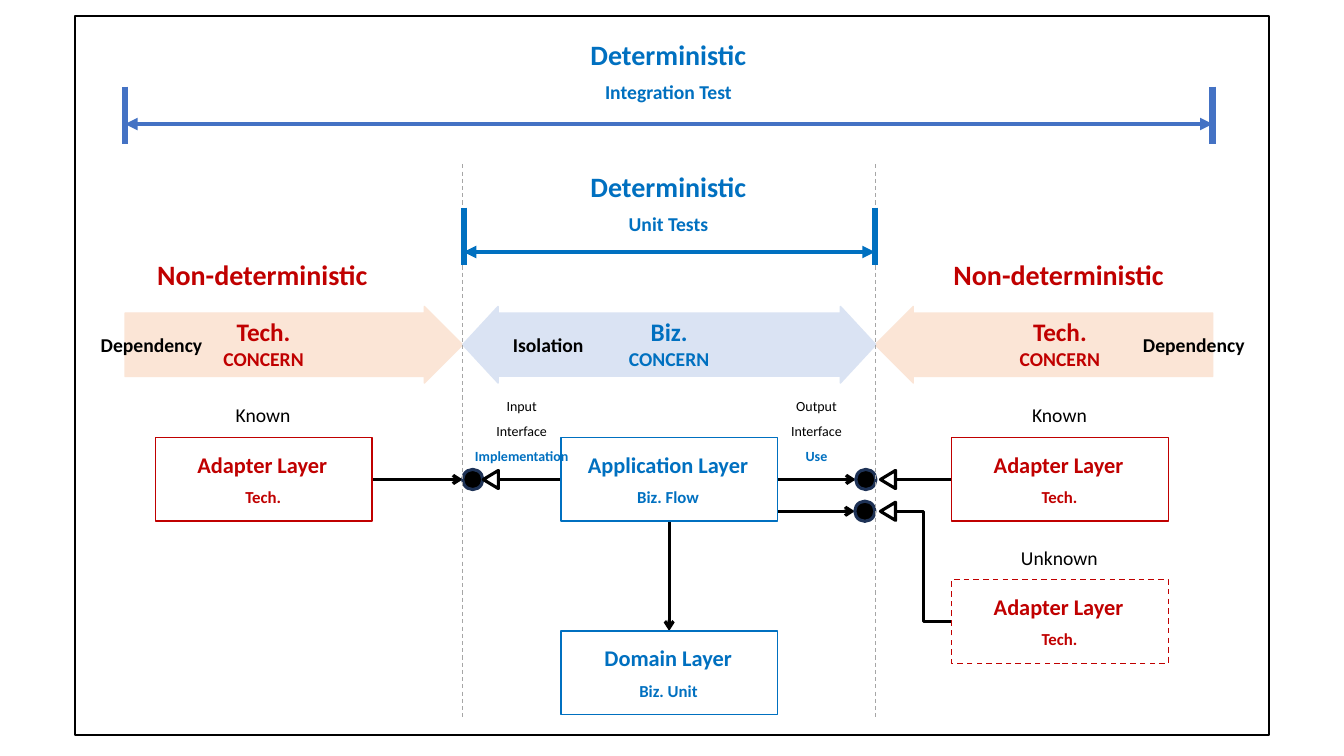
from lxml import etree
from pptx import Presentation, util as u
from pptx.dml import color
from pptx.enum import dml, shapes, text
from pptx.oxml import ns

THEME = {
    "font": "Calibri",
    "biz": "0070C0", "tech": "C00000", "ink": "000000", "paper": "FFFFFF",
    "tech_band": "FBE5D6", "biz_band": "DAE3F3", "guide": "A6A6A6",
    "integration": "4472C4", "port_edge": "1E3256",
    "headline": 20, "concern": 18, "layer": 16, "label": 14, "detail": 12, "port": 10,
}
LEFT, MIDDLE, RIGHT = 188.3, 478, 757.1
INPUT_EDGE, OUTPUT_EDGE = 330.5, 625.7
OUTER_LEFT, OUTER_RIGHT = 89.3, 866.2
BOX_WIDTH, BOX_HEIGHT = 154.8, 59.8
LAYER_TOP, DOMAIN_TOP, UNKNOWN_TOP = 312.5, 450.7, 414
FLOW_Y, SECOND_FLOW_Y = 342.5, 365.2
PORT_SIZE = 14.4
TIP_WIDTH, TIP_HEIGHT = 13, 10.8

BANDS = [
    ("RIGHT_ARROW", 625, OUTER_RIGHT, "tech_band", (0.827, 0.5), 180),
    ("RIGHT_ARROW", OUTER_LEFT, INPUT_EDGE, "tech_band", (0.827, 0.5), 0),
    ("LEFT_RIGHT_ARROW", INPUT_EDGE, OUTPUT_EDGE, "biz_band", (0.824, 0.463), 0),
]
LAYERS = [
    (LEFT, LAYER_TOP, "tech", None, ("Adapter Layer", 108.7), ("Tech.", 40.3)),
    (MIDDLE, LAYER_TOP, "biz", None, ("Application Layer", 130.3), ("Biz. Flow", 59.8)),
    (RIGHT, LAYER_TOP, "tech", None, ("Adapter Layer", 108.7), ("Tech.", 40.3)),
    (MIDDLE, DOMAIN_TOP, "biz", None, ("Domain Layer", 106.6), ("Biz. Unit", 56.9)),
    (RIGHT, UNKNOWN_TOP, "tech", "DASH", ("Adapter Layer", 108.7), ("Tech.", 40.3)),
]
PORTS = [(337.7, FLOW_Y), (618.5, FLOW_Y), (617.8, SECOND_FLOW_Y)]
TIPS = [(350.6, FLOW_Y), (634.3, FLOW_Y), (634.3, SECOND_FLOW_Y)]
LINKS = [
    ("STRAIGHT", 265.7, FLOW_Y, INPUT_EDGE, FLOW_Y, "arrow"),
    ("STRAIGHT", 555.5, FLOW_Y, 611.3, FLOW_Y, "arrow"),
    ("STRAIGHT", 555.5, SECOND_FLOW_Y, 610.6, SECOND_FLOW_Y, "arrow"),
    ("STRAIGHT", MIDDLE, 372.3, MIDDLE, DOMAIN_TOP, "arrow"),
    ("STRAIGHT", 400.6, FLOW_Y, 356.4, FLOW_Y, None),
    ("STRAIGHT", 679.7, FLOW_Y, 639.4, FLOW_Y, None),
    ("ELBOW", 639.4, SECOND_FLOW_Y, 679.7, 444.2, None),
]
SPANS = [
    (331.2, 625, 148.3, 180, "biz"),
    (OUTER_LEFT, OUTER_RIGHT, 61.9, 88.6, "integration"),
]
LABELS = [
    (MIDDLE, 23, 126.7, "Deterministic", "headline", "biz", True),
    (MIDDLE, 53.3, 105.8, "Integration Test", "label", "biz", True),
    (MIDDLE, 117.4, 126.7, "Deterministic", "headline", "biz", True),
    (MIDDLE, 147.6, 72, "Unit Tests", "label", "biz", True),
    (LEFT, 180.7, 166.3, "Non-deterministic", "headline", "tech", True),
    (RIGHT, 180.7, 166.3, "Non-deterministic", "headline", "tech", True),
    (LEFT, 284.4, 54, "Known", "label", "ink", False),
    (RIGHT, 284.4, 54, "Known", "label", "ink", False),
    (RIGHT, 386.6, 69.8, "Unknown", "label", "ink", False),
    (108.7, 234, 87.8, "Dependency", "label", "ink", True),
    (853.2, 234, 87.8, "Dependency", "label", "ink", True),
    (392, 234, 65.5, "Isolation", "label", "ink", True),
]
CONCERNS = [(MIDDLE, "Biz.", "biz"), (LEFT, "Tech.", "tech"), (RIGHT, "Tech.", "tech")]
INTERFACES = [
    (372.6, 82.8, "Input", "Implementation"),
    (583.2, 51.8, "Output", "Use"),
]

presentation = Presentation()
presentation.slide_width, presentation.slide_height = u.Pt(960), u.Pt(540)
slide = presentation.slides.add_slide(presentation.slide_layouts[6])


def rgb(name):
    return color.RGBColor.from_string(THEME[name])


def set_line(line, name, width, dash=None):
    line.color.rgb = rgb(name)
    line.width = u.Pt(width)
    if dash:
        line.dash_style = getattr(dml.MSO_LINE, dash)


def add_figure(kind, left, top, width, height, fill, edge, weight, dash=None):
    shape = slide.shapes.add_shape(
        getattr(shapes.MSO_SHAPE, kind), u.Pt(left), u.Pt(top), u.Pt(width), u.Pt(height))
    shape.shadow.inherit = False
    if fill:
        shape.fill.solid()
        shape.fill.fore_color.rgb = rgb(fill)
    else:
        shape.fill.background()
    set_line(shape.line, edge, weight, dash)
    return shape


def add_link(kind, x1, y1, x2, y2, name, width, head=None, tail=None, dash=None):
    connector = slide.shapes.add_connector(
        getattr(shapes.MSO_CONNECTOR, kind), u.Pt(x1), u.Pt(y1), u.Pt(x2), u.Pt(y2))
    set_line(connector.line, name, width, dash)
    properties = connector._element.spPr
    for tag, end in (("a:headEnd", head), ("a:tailEnd", tail)):
        if end:
            etree.SubElement(properties.find(ns.qn("a:ln")), ns.qn(tag), type=end)
    etree.SubElement(properties, ns.qn("a:effectLst"))


def add_label(centre, top, width, lines, align="LEFT", spacing=None):
    height = 7.2 + sum(THEME[size] * 1.22 * (spacing or 1) for _, size, _, _ in lines)
    box = slide.shapes.add_textbox(
        u.Pt(centre - width / 2), u.Pt(top), u.Pt(width), u.Pt(height))
    frame = box.text_frame
    frame.text = "\n".join(line[0] for line in lines)
    frame.word_wrap = False
    frame.auto_size = text.MSO_AUTO_SIZE.SHAPE_TO_FIT_TEXT
    for paragraph, (_, size, tint, bold) in zip(frame.paragraphs, lines):
        paragraph.alignment = getattr(text.PP_ALIGN, align)
        if spacing:
            paragraph.line_spacing = spacing
        font = paragraph.runs[0].font
        font.name, font.size, font.bold = THEME["font"], u.Pt(THEME[size]), bold
        font.color.rgb = rgb(tint)


add_figure("RECTANGLE", 53.3, 11.5, 853.2, 513.4, None, "ink", 1.5)
for kind, start, end, fill, adjustments, rotation in BANDS:
    band = add_figure(kind, start, 218.9, end - start, 54.7, fill, fill, 1)
    band.rotation = rotation
    for index, value in enumerate(adjustments):
        band.adjustments[index] = value

for kind, x1, y1, x2, y2, tail in LINKS:
    add_link(kind, x1, y1, x2, y2, "ink", 2.25, tail=tail)
for x, y in PORTS:
    add_figure("OVAL", x - PORT_SIZE / 2, y - PORT_SIZE / 2, PORT_SIZE, PORT_SIZE,
               "ink", "port_edge", 2.25)
for x, y in TIPS:
    tip = add_figure("ISOSCELES_TRIANGLE", x - TIP_WIDTH / 2, y - TIP_HEIGHT / 2,
                     TIP_WIDTH, TIP_HEIGHT, "paper", "ink", 2.25)
    tip.rotation = 270
for x in (INPUT_EDGE, OUTPUT_EDGE):
    add_link("STRAIGHT", x, 117.4, x, 513.4, "guide", 0.75, dash="DASH")

for centre, top, tint, dash, (name, name_width), (detail, detail_width) in LAYERS:
    add_figure("RECTANGLE", centre - BOX_WIDTH / 2, top, BOX_WIDTH, BOX_HEIGHT,
               None, tint, 1, dash)
    add_label(centre, top + 6.2, name_width, [(name, "layer", tint, True)])
    add_label(centre, top + 31.7, detail_width, [(detail, "detail", tint, True)])

for start, end, top, y, tint in SPANS:
    for x in (start, end):
        add_link("STRAIGHT", x, top, x, top + 41.1, tint, 4.5)
    add_link("STRAIGHT", start, y, end, y, tint, 3, "triangle", "triangle")

for centre, top, width, caption, size, tint, bold in LABELS:
    add_label(centre, top, width, [(caption, size, tint, bold)])
for centre, name, tint in CONCERNS:
    add_label(centre, 222.5, 72.7,
              [(name, "concern", tint, True), ("CONCERN", "label", tint, True)], "CENTER")
for centre, width, direction, role in INTERFACES:
    add_label(centre, 274.3, width,
              [(direction, "port", "ink", False), ("Interface", "port", "ink", False),
               (role, "port", "biz", True)], "CENTER", 1.5)

presentation.save("out.pptx")
